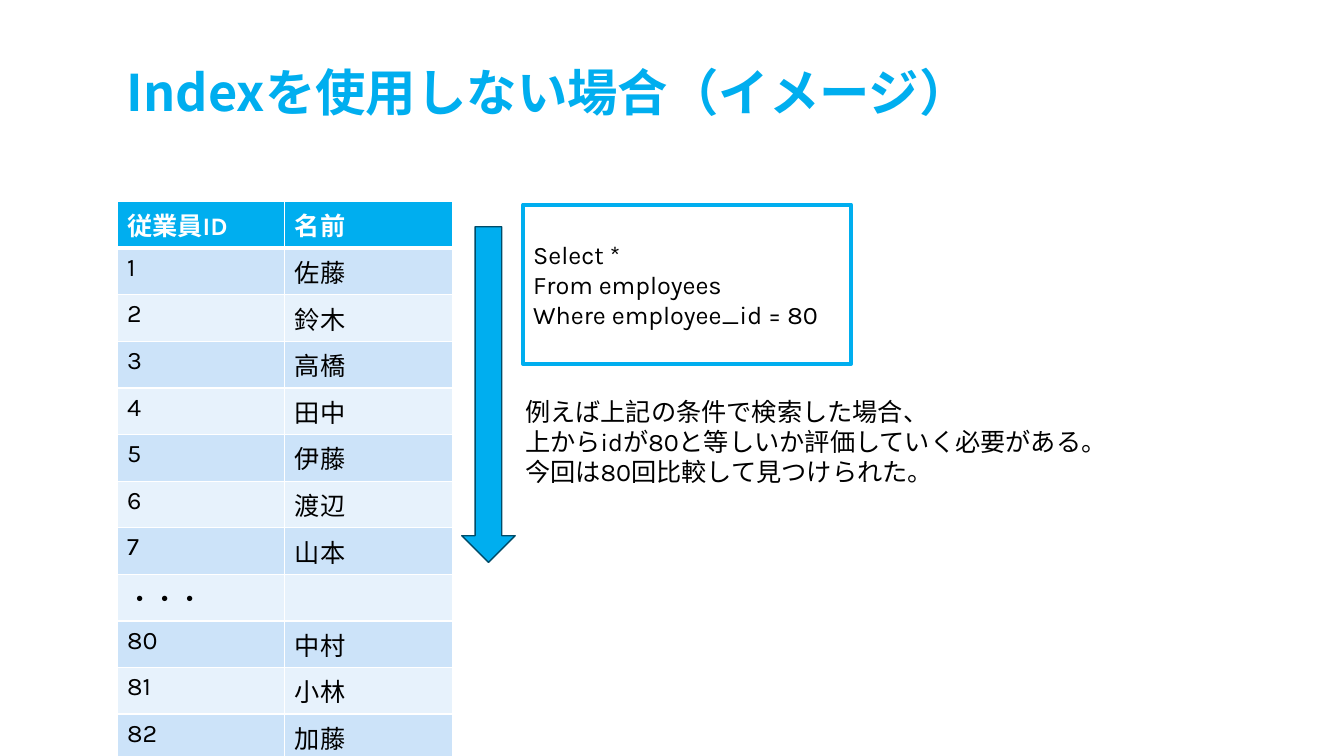
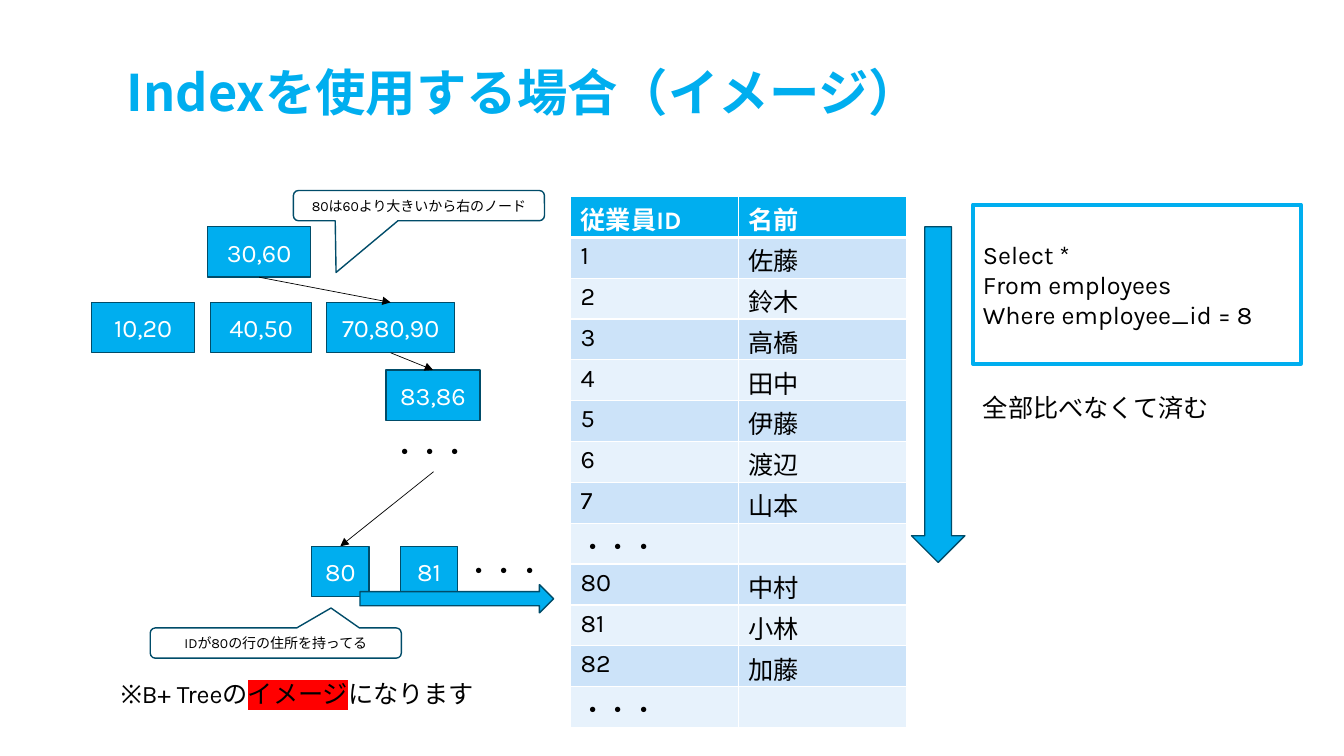
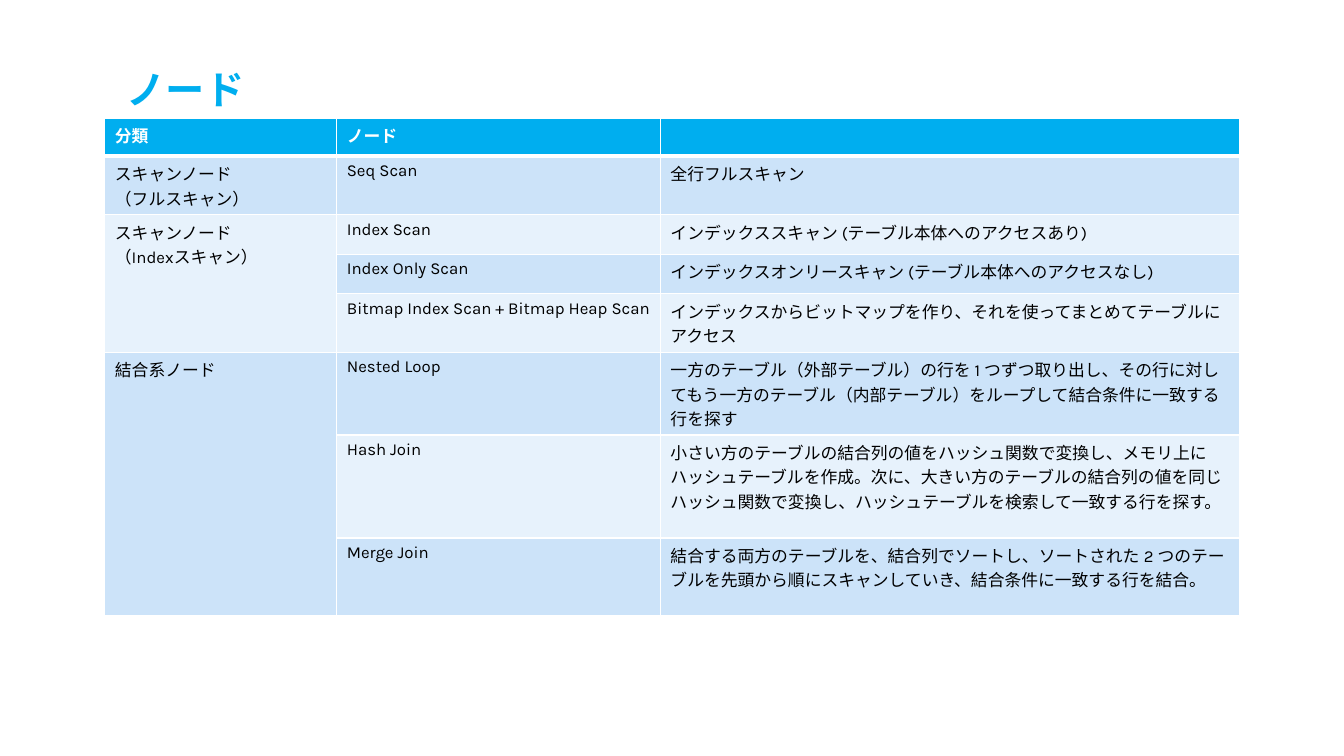
from dataclasses import dataclass

from pptx import Presentation
from pptx import util as u
from pptx.dml.color import RGBColor
from pptx.enum import shapes, text
from pptx.oxml import ns
from lxml import etree

PX = 9144  # EMU in one px, 100 px to the inch
KIND = shapes.MSO_SHAPE
MID, LOW = text.MSO_ANCHOR.MIDDLE, text.MSO_ANCHOR.BOTTOM


@dataclass(frozen=True)
class Theme:
    main: str = "00AEEF"
    edge: str = "004C69"
    ink: str = "000000"
    paper: str = "FFFFFF"
    odd: str = "CCE3F9"
    even: str = "E7F2FC"
    mark: str = "FF0000"
    latin: str = "Karla"
    asian: str = "Noto Sans CJK JP"
    head: int = 36
    sub: int = 28
    body: int = 18
    cell: int = 12
    note: int = 10


T = Theme()


def px(num):
    return u.Emu(round(num * PX))


def rgb(code):
    return RGBColor.from_string(code)


def put(obj, **vals):
    for key, val in vals.items():
        setattr(obj, key, val)


def add(base, tag, **vals):
    return etree.SubElement(base, ns.qn(tag), vals)


def share(total, parts):
    """Split a length in proportion to the parts."""
    return [px(total * part / sum(parts)) for part in parts]


class Deck:
    def __init__(self):
        self.prs = Presentation()
        put(self.prs, slide_width=px(1333), slide_height=px(750))
        self.page = None

    def slide(self, title, size=T.head, high=67):
        self.page = self.prs.slides.add_slide(self.prs.slide_layouts[6])
        box = self.page.shapes.add_textbox(*map(px, (116, 58, 950, high)))
        put(box.text_frame, word_wrap=True, vertical_anchor=LOW)
        self.fill(box.text_frame, title, size, T.main, bold=True, face=T.asian)
        box.text_frame.paragraphs[0].line_spacing = 0.8

    def fill(self, frame, words, size=T.body, color=T.ink, bold=False,
             face=T.latin, asian=None, align=None, mark=None):
        """Fill a frame, one paragraph a line; the marked word is highlighted."""
        for num, line in enumerate(words.split("\n")):
            para = frame.add_paragraph() if num else frame.paragraphs[0]
            if align:
                para.alignment = align
            bits = [line]
            if mark:
                left, right = line.split(mark)
                bits = [left, mark, right]
            for bit in bits:
                run = para.add_run()
                run.text = bit
                put(run.font, size=u.Pt(size), bold=bold, name=face)
                run.font.color.rgb = rgb(color)
                props = run.font._element
                latin = props.find(ns.qn("a:latin"))
                east = add(props, "a:ea", typeface=asian or face)
                latin.addnext(east)
                if bit == mark:
                    glow = add(props, "a:highlight")
                    add(glow, "a:srgbClr", val=T.mark)
                    latin.addprevious(glow)

    def label(self, at, words, wrap=False, mark=None):
        box = self.page.shapes.add_textbox(*map(px, at))
        put(box.text_frame, word_wrap=wrap,
            auto_size=text.MSO_AUTO_SIZE.SHAPE_TO_FIT_TEXT)
        self.fill(box.text_frame, words, mark=mark)
        return box

    def shape(self, kind, at, words="", fill=None, line=T.edge, width=1,
              adjust=(), **style):
        form = self.page.shapes.add_shape(kind, *map(px, at))
        form.shadow.inherit = False
        for num, val in enumerate(adjust):
            form.adjustments[num] = val
        if fill:
            form.fill.solid()
            form.fill.fore_color.rgb = rgb(fill)
        else:
            form.fill.background()
        form.line.color.rgb = rgb(line)
        form.line.width = u.Pt(width)
        if words:
            put(form.text_frame, word_wrap=True, vertical_anchor=MID)
            self.fill(form.text_frame, words, **style)
        return form

    def query(self, left, key):
        self.shape(KIND.RECTANGLE, (left, 203, 325, 158),
                   f"Select *\nFrom employees\nWhere employee_id = {key}",
                   line=T.main, width=3, align=text.PP_ALIGN.LEFT)

    def arrow(self, kind, *at):
        self.shape(kind, at, fill=T.main)

    def node(self, left, top, wide, words):
        return self.shape(KIND.RECTANGLE, (left, top, wide, 50), words,
                          fill=T.main, color=T.paper, align=text.PP_ALIGN.CENTER)

    def bubble(self, left, top, words, tip):
        self.shape(KIND.ROUNDED_RECTANGULAR_CALLOUT, (left, top, 249, 30), words,
                   adjust=(*tip, 0.167), size=T.note, align=text.PP_ALIGN.CENTER)

    def link(self, start, end):
        """Join the bottom of one shape to the top of the next."""
        wire = self.page.shapes.add_connector(shapes.MSO_CONNECTOR.STRAIGHT, 0, 0, 0, 0)
        wire.begin_connect(start, 2)
        wire.end_connect(end, 0)
        wire.line.color.rgb = rgb(T.ink)
        wire.line.width = u.Pt(0.5)
        props = wire._element.spPr
        add(props.find(ns.qn("a:ln")), "a:tailEnd", type="triangle")
        add(props, "a:effectLst")

    def borders(self, cell, row):
        props = cell._tc.get_or_add_tcPr()
        thick = {(0, "B"), (1, "T")}
        for side in "LRTB":
            wide = u.Pt(3 if (row, side) in thick else 1)
            line = add(props, f"a:ln{side}", w=str(int(wide)))
            add(add(line, "a:solidFill"), "a:srgbClr", val=T.paper)

    def table(self, at, cols, rows, data, size=T.body, pad=(5, 5), spans=()):
        """Draw a banded grid; a span is its column, first row and last row."""
        grid = self.page.shapes.add_table(len(rows), len(cols), *map(px, at)).table
        for col, wide in zip(grid.columns, share(at[2], cols)):
            col.width = wide
        for row, high in zip(grid.rows, share(at[3], rows)):
            row.height = high
        for num, line in enumerate(data):
            top = num == 0
            tint = T.main if top else T.odd if num % 2 else T.even
            for pos, words in enumerate(line):
                cell = grid.cell(num, pos)
                put(cell, margin_top=px(pad[0]), margin_bottom=px(pad[1]))
                self.borders(cell, num)
                cell.fill.solid()
                cell.fill.fore_color.rgb = rgb(tint)
                if words:
                    self.fill(cell.text_frame, words, size, bold=top,
                              color=T.paper if top else T.ink, asian=T.asian)
                else:
                    para = cell.text_frame.paragraphs[0]._p
                    add(para, "a:endParaRPr", sz=str(size * 100))
        for col, first, last in spans:
            grid.cell(first, col).merge(grid.cell(last, col))


STAFF = [
    ("従業員ID", "名前"), ("1", "佐藤"), ("2", "鈴木"), ("3", "高橋"), ("4", "田中"),
    ("5", "伊藤"), ("6", "渡辺"), ("7", "山本"), ("・・・", ""), ("80", "中村"),
    ("81", "小林"), ("82", "加藤"), ("・・・", ""),
]
EVEN = [1] * len(STAFF)

SCANS = [
    ("分類", "ノード", ""),
    ("スキャンノード\n（フルスキャン）", "Seq Scan", "全行フルスキャン"),
    ("スキャンノード\n（Indexスキャン）", "Index Scan",
     "インデックススキャン (テーブル本体へのアクセスあり)"),
    ("", "Index Only Scan", "インデックスオンリースキャン (テーブル本体へのアクセスなし)"),
    ("", "Bitmap Index Scan + Bitmap Heap Scan",
     "インデックスからビットマップを作り、それを使ってまとめてテーブルにアクセス"),
    ("結合系ノード", "Nested Loop",
     "一方のテーブル（外部テーブル）の行を 1 つずつ取り出し、その行に対して"
     "もう一方のテーブル（内部テーブル）をループして結合条件に一致する行を探す"),
    ("", "Hash Join",
     "小さい方のテーブルの結合列の値をハッシュ関数で変換し、メモリ上に"
     "ハッシュテーブルを作成。次に、大きい方のテーブルの結合列の値を同じ"
     "ハッシュ関数で変換し、ハッシュテーブルを検索して一致する行を探す。"),
    ("", "Merge Join",
     "結合する両方のテーブルを、結合列でソートし、ソートされた 2 つの"
     "テーブルを先頭から順にスキャンしていき、結合条件に一致する行を結合。"),
]


def plain(deck):
    deck.slide("Indexを使用しない場合（イメージ）")
    deck.table((116, 200, 333, 601), (1, 1), EVEN, STAFF)
    deck.query(519, 80)
    deck.label((511, 388, 614, 101),
               "例えば上記の条件で検索した場合、\n"
               "上からidが80と等しいか評価していく必要がある。\n"
               "今回は80回比較して見つけられた。")
    deck.arrow(KIND.DOWN_ARROW, 458, 225, 53, 333)


def tree(deck):
    deck.slide("Indexを使用する場合（イメージ）")
    deck.query(965, 8)
    deck.label((965, 384, 247, 40), "全部比べなくて済む")
    deck.arrow(KIND.DOWN_ARROW, 904, 225, 53, 333)
    deck.table((566, 195, 333, 527), (1, 1), EVEN, STAFF, pad=(4, 0))

    root = deck.node(206, 225, 102, "30,60")
    deck.node(91, 300, 102, "10,20")
    deck.node(209, 300, 100, "40,50")
    right = deck.node(324, 300, 127, "70,80,90")
    child = deck.node(383, 367, 93, "83,86")
    more = deck.label((379, 428, 102, 40), "・・・", wrap=True)
    leaf = deck.node(309, 542, 57, "80")
    deck.node(397, 542, 57, "81")
    deck.label((453, 546, 102, 40), "・・・", wrap=True)
    for start, end in ((root, right), (right, child), (more, leaf)):
        deck.link(start, end)

    deck.bubble(291, 189, "80は60より大きいから右のノード", (-0.33, 2.21))
    deck.arrow(KIND.RIGHT_ARROW, 357, 580, 192, 28)
    deck.bubble(149, 623, "IDが80の行の住所を持ってる", (0.22, -1.16))
    deck.label((110, 668, 380, 40), "※B+ Treeのイメージになります", mark="イメージ")


def nodes(deck):
    deck.slide("ノード", T.sub, 58)
    deck.table((104, 117, 1125, 494), (230, 321, 574),
               (38, 58, 39, 39, 58, 82, 102, 77), SCANS, T.cell,
               spans=((0, 2, 4), (0, 5, 7)))


def main():
    deck = Deck()
    for draw in (plain, tree, nodes):
        draw(deck)
    deck.prs.save("out.pptx")


if __name__ == "__main__":
    main()
